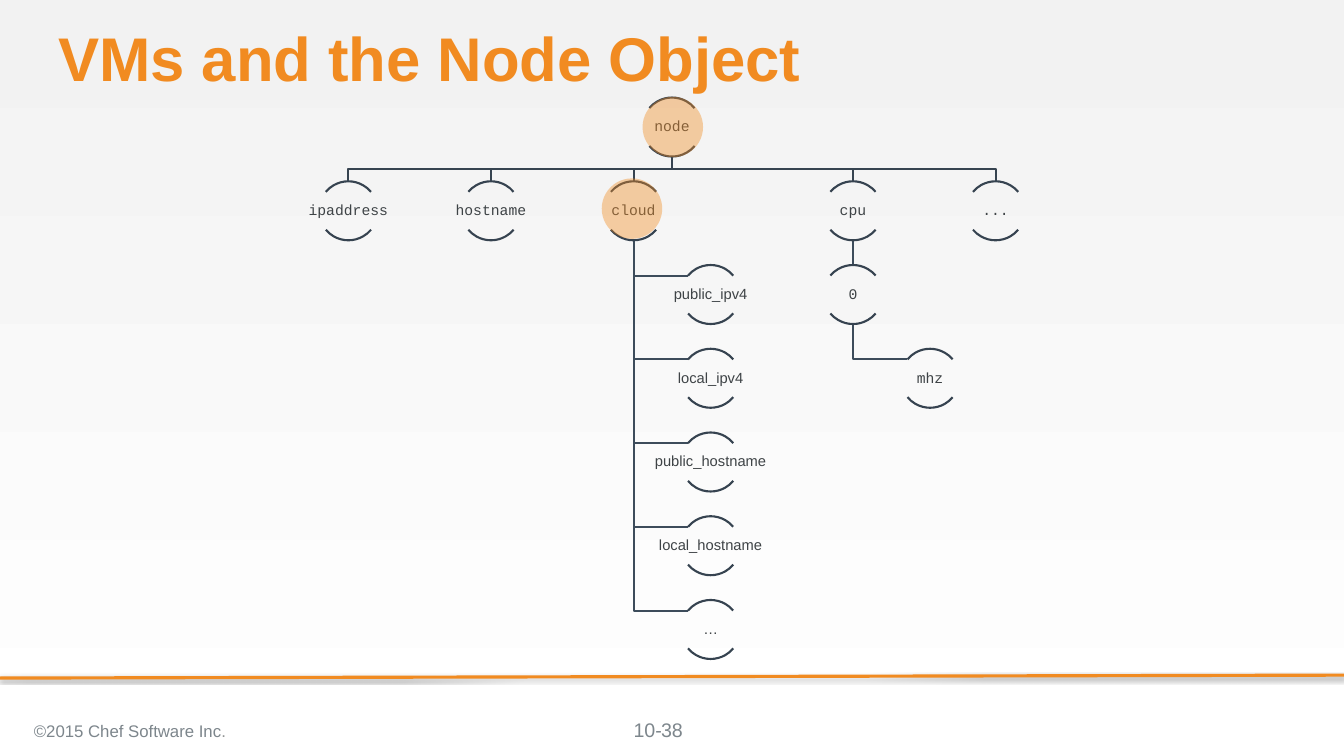
from lxml.etree import SubElement
from pptx import Presentation
from pptx.dml.color import RGBColor
from pptx.enum.shapes import MSO_CONNECTOR, MSO_SHAPE
from pptx.enum.text import MSO_ANCHOR, PP_ALIGN
from pptx.oxml import parse_xml
from pptx.oxml.ns import nsdecls, qn
from pptx.util import Pt

HUES = {
    "brand": "F18B21", "arc": "364350", "link": "3D4C5B", "text": "3E4346",
    "foot": "7D868C", "dot": "929494", "top": "F2F2F2", "base": "FFFFFF",
}
MONO, SANS = "Courier New", "Arial"
SIZE, STEP, ROW, SHIFT = 56.2, 79.75, 92.9, 73.4
ROOT = 640


class Deck:
    """Hold the style and the current slide, and draw each kind of element."""

    def __init__(self, wide, high):
        self.show = Presentation()
        self.show.slide_width, self.show.slide_height = Pt(wide), Pt(high)
        self.slide = self.show.slides.add_slide(self.show.slide_layouts[6])
        self.shapes = self.slide.shapes

    def hue(self, name):
        return RGBColor.from_string(HUES[name])

    def back(self, *names):
        fill = self.slide.background.fill
        fill.gradient()
        fill.gradient_angle = 270
        for stop, name, place in zip(fill.gradient_stops, names, (0, 1)):
            stop.color.rgb = self.hue(name)
            stop.position = place

    def stroke(self, shape, name, width=2):
        shape.line.color.rgb = self.hue(name)
        shape.line.width = Pt(width)

    def rule(self, start, end):
        line = self.shapes.add_connector(
            MSO_CONNECTOR.STRAIGHT, *map(Pt, start + end))
        self.stroke(line, "brand", 3)
        line._element.spPr.append(parse_xml(
            f'<a:effectLst {nsdecls("a")}><a:outerShdw blurRad="{Pt(3.1)}" '
            f'dist="{Pt(1.8)}" dir="5400000" rotWithShape="0">'
            '<a:srgbClr val="000000"><a:alpha val="35000"/></a:srgbClr>'
            '</a:outerShdw></a:effectLst>'))

    def text(self, words, box, size, name="text", face=SANS, bold=False,
             align=PP_ALIGN.LEFT, anchor=MSO_ANCHOR.TOP, inset=None, space=None):
        frame = self.shapes.add_textbox(*map(Pt, box)).text_frame
        frame.word_wrap = True
        frame.vertical_anchor = anchor
        if inset is not None:
            frame.margin_left = frame.margin_right = Pt(inset)
            frame.margin_top = frame.margin_bottom = Pt(inset)
        par = frame.paragraphs[0]
        par.text = words
        par.alignment = align
        par.line_spacing = space
        self.style(par.runs[0], size, name, face, bold)
        return par

    def style(self, run, size, name, face=SANS, bold=False):
        run.font.size, run.font.name, run.font.bold = Pt(size), face, bold
        run.font.color.rgb = self.hue(name)

    def link(self, points, name):
        pen = self.shapes.build_freeform(*map(Pt, points[0]))
        pen.add_line_segments(
            [(Pt(x), Pt(y)) for x, y in points[1:]], close=False)
        shape = pen.convert_to_shape()
        shape.shadow.inherit = False
        shape.fill.background()
        self.stroke(shape, name)

    def node(self, words, mid, top, face):
        for start, end in ((132, 192), (24, 84)):
            arc = self.shapes.add_shape(
                MSO_SHAPE.ARC, *map(Pt, (mid - SIZE / 2, top, SIZE, SIZE)))
            arc.adjustments[0], arc.adjustments[1] = start, end
            arc.shadow.inherit = False
            arc.fill.background()
            self.stroke(arc, "arc")
        self.text(words, (mid - SIZE, top + 10.1, 2 * SIZE, 36), 14, face=face,
                  align=PP_ALIGN.CENTER, anchor=MSO_ANCHOR.MIDDLE,
                  inset=0.7, space=0.9)

    def glow(self, left, top, size):
        disc = self.shapes.add_shape(
            MSO_SHAPE.OVAL, *map(Pt, (left, top, size, size)))
        disc.shadow.inherit = False
        disc.fill.solid()
        disc.fill.fore_color.rgb = self.hue("brand")
        tint = disc._element.spPr.find(qn("a:solidFill"))[0]
        SubElement(tint, qn("a:alpha")).set("val", "40000")
        disc.line.fill.background()


def level(row):
    return ROW + STEP * row


def tree(deck):
    heads = {"ipaddress": 331.8, "hostname": 467.6, "cloud": 603.4,
             "cpu": 812.4, "...": 948.2}
    leaves = ["public_ipv4", "local_ipv4", "public_hostname",
              "local_hostname", "…"]
    cloud, cpu = heads["cloud"], heads["cpu"]
    foot = level(0) + SIZE
    bend = (foot + level(1)) / 2
    for mid in heads.values():
        deck.link([(ROOT, foot), (ROOT, bend), (mid, bend), (mid, level(1))],
                  "arc")
    deck.link([(cpu, level(1) + SIZE), (cpu, level(2))], "link")
    elbows = [(cloud, 1, row) for row in range(2, 7)] + [(cpu, 2, 3)]
    for mid, start, row in elbows:
        side = level(row) + 10.1
        deck.link([(mid, level(start) + SIZE), (mid, side),
                   (mid + SHIFT - 21.6, side)], "link")
    deck.node("node", ROOT, level(0), MONO)
    for name, mid in heads.items():
        deck.node(name, mid, level(1), MONO)
    for row, name in enumerate(leaves, 2):
        deck.node(name, cloud + SHIFT, level(row), SANS)
    deck.node("0", cpu, level(2), MONO)
    deck.node("mhz", cpu + SHIFT, level(3), MONO)


def main():
    deck = Deck(1280, 720)
    deck.back("top", "base")
    deck.rule((1280, 643), (0, 645.8))
    deck.text("10-", (603.4, 683.3, 57.6, 22.3), 18.7, "foot", inset=0)
    tree(deck)
    note = deck.text("©2015 Chef Software Inc", (25.2, 675.4, 447, 40.3), 16,
                     "foot", anchor=MSO_ANCHOR.MIDDLE)
    dot = note.add_run()
    dot.text = "."
    deck.style(dot, 16, "dot")
    deck.text("38", (496, 675.4, 288, 38.2), 18.7, "foot",
              align=PP_ALIGN.CENTER, anchor=MSO_ANCHOR.MIDDLE)
    deck.text("VMs and the Node Object", (48.2, 23.8, 1175.8, 65.5), 58.7,
              "brand", bold=True, space=0.9)
    deck.glow(612, 92.2, 57.6)
    deck.glow(573.1, 169.9, 57.6)
    deck.show.save("out.pptx")


if __name__ == "__main__":
    main()
